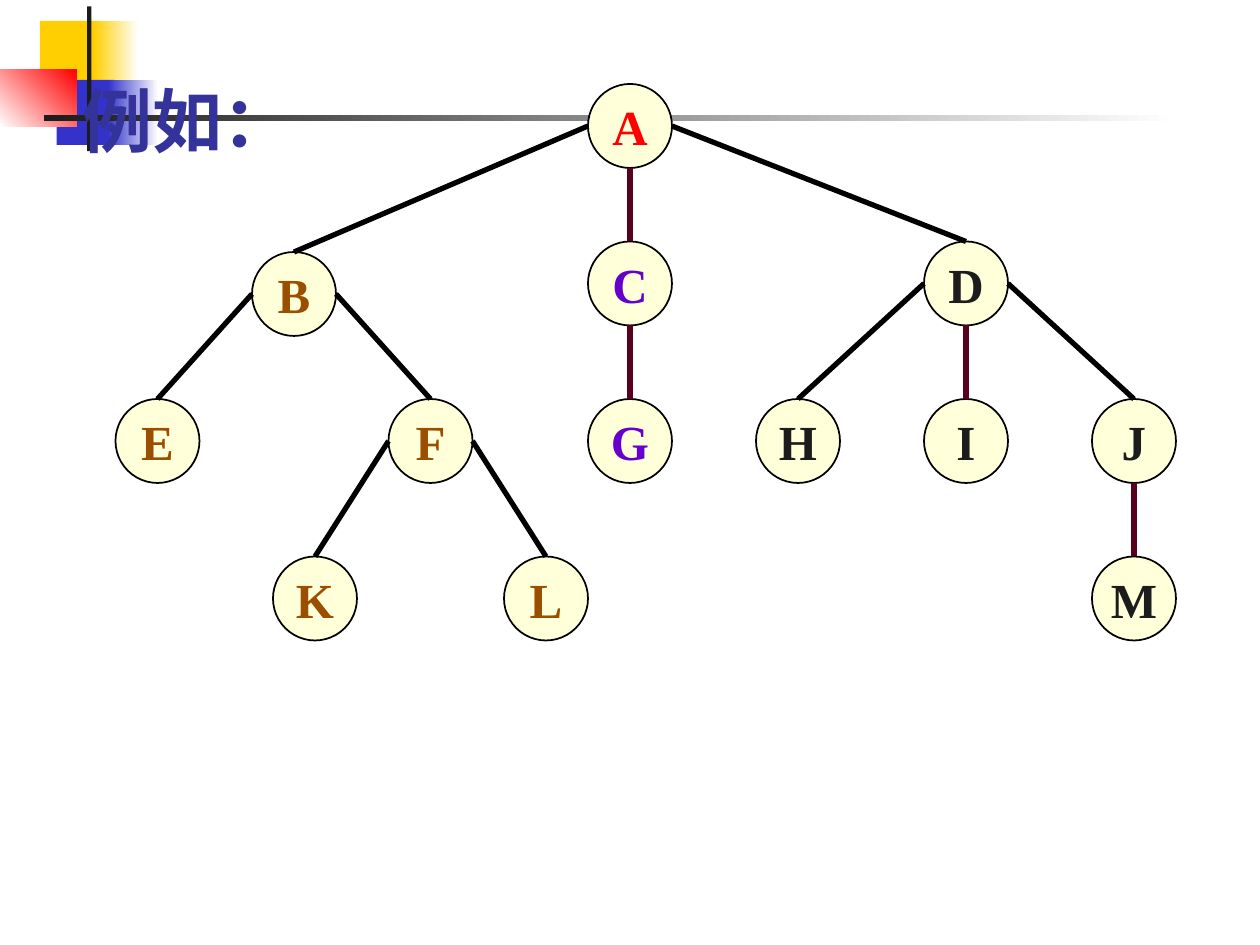
from lxml import etree
from pptx import Presentation
from pptx.dml.color import RGBColor
from pptx.enum.shapes import MSO_CONNECTOR, MSO_SHAPE
from pptx.enum.text import MSO_ANCHOR, MSO_AUTO_SIZE, PP_ALIGN
from pptx.oxml.ns import qn
from pptx.util import Pt

RECT = MSO_SHAPE.RECTANGLE
OVAL = MSO_SHAPE.OVAL
LINE = MSO_CONNECTOR.STRAIGHT
MIDDLE = MSO_ANCHOR.MIDDLE
CENTER = PP_ALIGN.CENTER
FIT = MSO_AUTO_SIZE.SHAPE_TO_FIT_TEXT

SCALE = 914400 // 120
SIZE = 80
COLORS = {
    "white": "FFFFFF", "black": "000000", "dark": "1C1C1C",
    "yellow": "FFCF01", "blue": "3333CC", "red": "FF0000",
    "cream": "FFFFD9", "brown": "9C4E00", "purple": "6600CC",
    "wine": "58001D", "title": "333399",
}
BARS = [
    (38, 20, 58, 62, "yellow", None, 0),
    (89, 20, 43, 62, "yellow", "white", 0),
    (54, 76, 55, 62, "blue", None, 0),
    (103, 76, 48, 62, "blue", "white", 0),
    (0, 66, 73, 55, "white", "red", 45),
    (83, 6, 4, 138, "dark", None, 0),
    (42, 110, 1080, 5, "dark", "white", 0),
]
NODES = {
    "A": (480, 0, "red"),
    "B": (160, 160, "brown"),
    "C": (480, 150, "purple"),
    "D": (800, 150, "dark"),
    "E": (30, 300, "brown"),
    "F": (290, 300, "brown"),
    "G": (480, 300, "purple"),
    "H": (640, 300, "dark"),
    "I": (800, 300, "dark"),
    "J": (960, 300, "dark"),
    "M": (960, 450, "dark"),
    "K": (180, 450, "brown"),
    "L": (400, 450, "brown"),
}
EDGES = ["AC", "CG", "DI", "JM", "DH", "DJ", "AD", "BE", "BF", "FK", "FL", "AB"]


def px(*nums):
    return [n * SCALE for n in nums]


def rgb(name):
    return RGBColor.from_string(COLORS[name])


def write(frame, text, size, font, color):
    run = frame.paragraphs[0].add_run()
    run.text = text
    run.font.size = Pt(size)
    run.font.name = font
    run.font.bold = True
    run.font.color.rgb = rgb(color)
    return run


def add_bar(slide, left, top, bar):
    x, y, wide, high, first, last, angle = bar
    shape = slide.shapes.add_shape(RECT, *px(left + x, top + y, wide, high))
    shape.shadow.inherit = False
    shape.line.fill.background()
    if last is None:
        shape.fill.solid()
        shape.fill.fore_color.rgb = rgb(first)
        return
    shape.fill.gradient()
    shape.fill.gradient_angle = angle
    for stop, name in zip(shape.fill.gradient_stops, (first, last)):
        stop.color.rgb = rgb(name)


def add_decor(slide, left, top):
    for bar in BARS:
        add_bar(slide, left, top, bar)


def add_node(slide, left, top, label, color):
    node = slide.shapes.add_shape(OVAL, *px(left, top, SIZE, SIZE))
    node.shadow.inherit = False
    node.fill.solid()
    node.fill.fore_color.rgb = rgb("cream")
    node.line.color.rgb = rgb("black")
    node.line.width = Pt(1)
    frame = node.text_frame
    frame.word_wrap = False
    frame.vertical_anchor = MIDDLE
    frame.paragraphs[0].alignment = CENTER
    write(frame, label, 28, "Times New Roman", color)


def add_edge(slide, left, top, pair):
    x, y = NODES[pair[0]][:2]
    end, low = NODES[pair[1]][:2]
    half = SIZE // 2
    color = "wine" if x == end else "black"
    if x == end:
        start = (x + half, y + SIZE)
    else:
        start = (x if end < x else x + SIZE, y + half)
    ends = px(left + start[0], top + start[1], left + end + half, top + low)
    edge = slide.shapes.add_connector(LINE, *ends)
    edge.line.color.rgb = rgb(color)
    edge.line.width = Pt(3)
    etree.SubElement(edge.element.spPr, qn("a:effectLst"))


def add_tree(slide, left, top):
    for label, (x, y, color) in NODES.items():
        add_node(slide, left + x, top + y, label, color)
    for pair in EDGES:
        add_edge(slide, left, top, pair)


def add_title(slide, left, top, wide, high):
    box = slide.shapes.add_textbox(*px(left, top, wide, high))
    frame = box.text_frame
    frame.word_wrap = False
    frame.auto_size = FIT
    font = "Noto Sans CJK SC"
    run = write(frame, "例如：", 40, font, "title")
    props = run.font.element if hasattr(run.font, "element") else run._r.get_or_add_rPr()
    etree.SubElement(props, qn("a:ea"), typeface=font)


def main():
    deck = Presentation()
    deck.slide_width, deck.slide_height = px(1200, 900)
    slide = deck.slides.add_slide(deck.slide_layouts[6])
    add_decor(slide, 0, 0)
    add_tree(slide, 80, 80)
    add_title(slide, 67, 68, 212, 92)
    deck.save("out.pptx")


if __name__ == "__main__":
    main()
